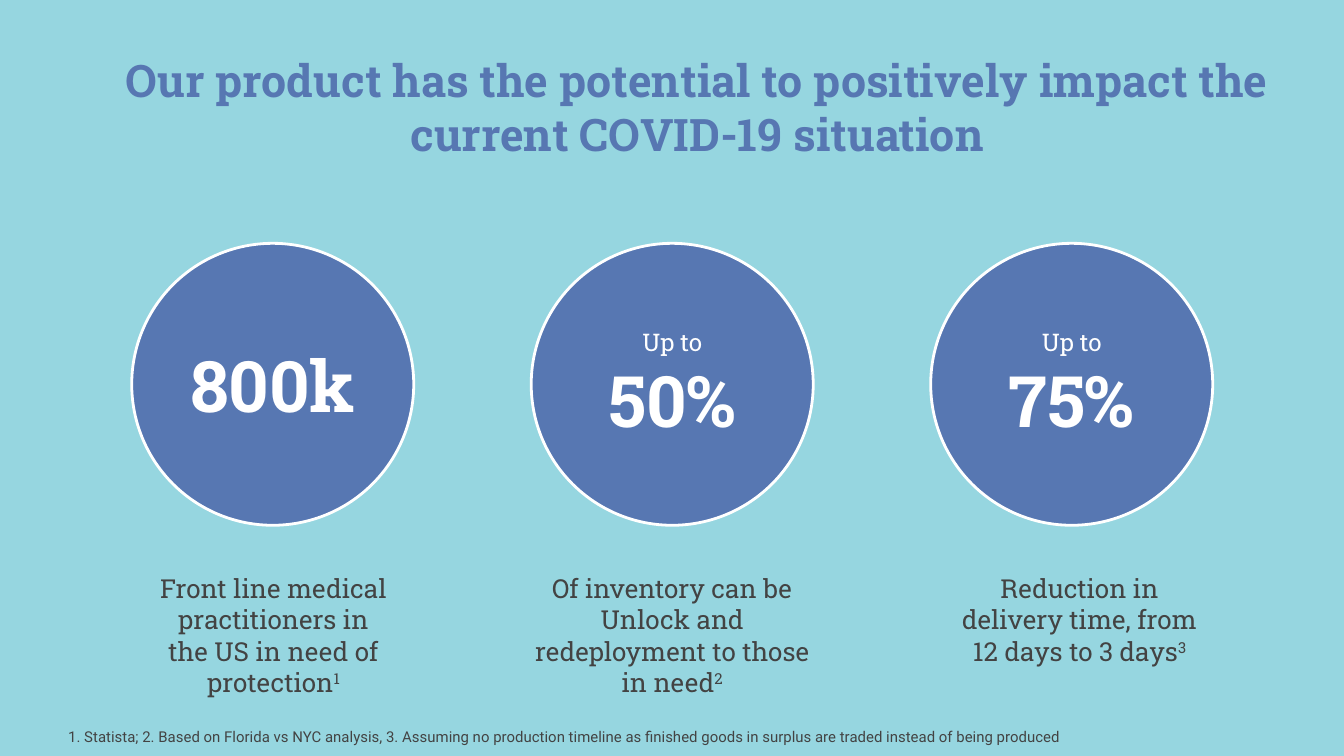
import pptx
import pptx.util
import pptx.dml.color
import pptx.enum.shapes
import pptx.enum.text

Cm = pptx.util.Cm
Pt = pptx.util.Pt
ALIGN = pptx.enum.text.PP_ALIGN
ANCHOR = pptx.enum.text.MSO_ANCHOR
COLORS = {"sky": "96D6E0", "blue": "5777B2", "white": "FFFFFF", "gray": "434343"}


def rgb(name):
    return pptx.dml.color.RGBColor.from_string(COLORS[name])


def write(box, lines, color, anchor=ANCHOR.TOP, align=ALIGN.CENTER, face="Roboto Slab"):
    """Fill a box with (text, size, bold) lines, one paragraph each."""
    frame = box.text_frame
    frame.word_wrap = True
    frame.vertical_anchor = anchor
    frame.margin_left = frame.margin_right = Cm(0.25)
    frame.margin_top = frame.margin_bottom = Cm(0.25)
    for index, (text, size, bold) in enumerate(lines):
        para = frame.add_paragraph() if index else frame.paragraphs[0]
        para.alignment = align
        para.font.name = face
        para.font.size = Pt(size)
        para.font.bold = bold
        para.font.color.rgb = rgb(color)
        para.add_run().text = text
    return frame.paragraphs[-1]


deck = pptx.Presentation()
deck.slide_width = Cm(25.4)
deck.slide_height = Cm(14.29)
page = deck.slides.add_slide(deck.slide_layouts[6])
page.background.fill.solid()
page.background.fill.fore_color.rgb = rgb("sky")

# Title
title = page.shapes.add_textbox(Cm(2.01), Cm(1.27), Cm(22.33), Cm(2.01))
write(title, [("Our product has the potential to positively impact the current COVID-19 situation",
               24, True)], "blue", ANCHOR.BOTTOM)

# Key figures: lead-in, figure, caption, caption left and width
figures = [
    ("", "800k", "Front line medical practitioners in the US in need of protection", 2.72, 4.9),
    ("Up to", "50%", "Of inventory can be Unlock and redeployment to those in need", 9.58, 6.25),
    ("Up to", "75%", "Reduction in delivery time, from 12 days to 3 days", 17.65, 5.51),
]
diameter, first_left, step = 5.33, 2.49, 7.55
for index, (lead, figure, text, left, width) in enumerate(figures):
    circle = page.shapes.add_shape(
        pptx.enum.shapes.MSO_SHAPE.OVAL,
        Cm(first_left + index * step), Cm(4.6), Cm(diameter), Cm(diameter))
    circle.shadow.inherit = False
    circle.fill.solid()
    circle.fill.fore_color.rgb = rgb("blue")
    circle.line.color.rgb = rgb("white")
    circle.line.width = Pt(1.5)
    lines = [(lead, 13, False)] if lead else []
    write(circle, lines + [(figure, 38, True)], "white", ANCHOR.MIDDLE)

    # Caption with its raised footnote number
    caption = page.shapes.add_textbox(Cm(left), Cm(10.57), Cm(width), Cm(1.65))
    para = write(caption, [(text, 14, False)], "gray")
    span = para.add_run()
    span.text = str(index + 1)
    span.font._element.set("baseline", "30000")

# Footnotes
notes = page.shapes.add_textbox(Cm(1.04), Cm(13.59), Cm(23.42), Cm(0.51))
write(notes, [("1. Statista; 2. Based on Florida vs NYC analysis, 3. Assuming no production timeline "
               "as finished goods in surplus are traded instead of being produced", 8, False)],
      "gray", align=ALIGN.LEFT, face="Roboto")

deck.save("out.pptx")
